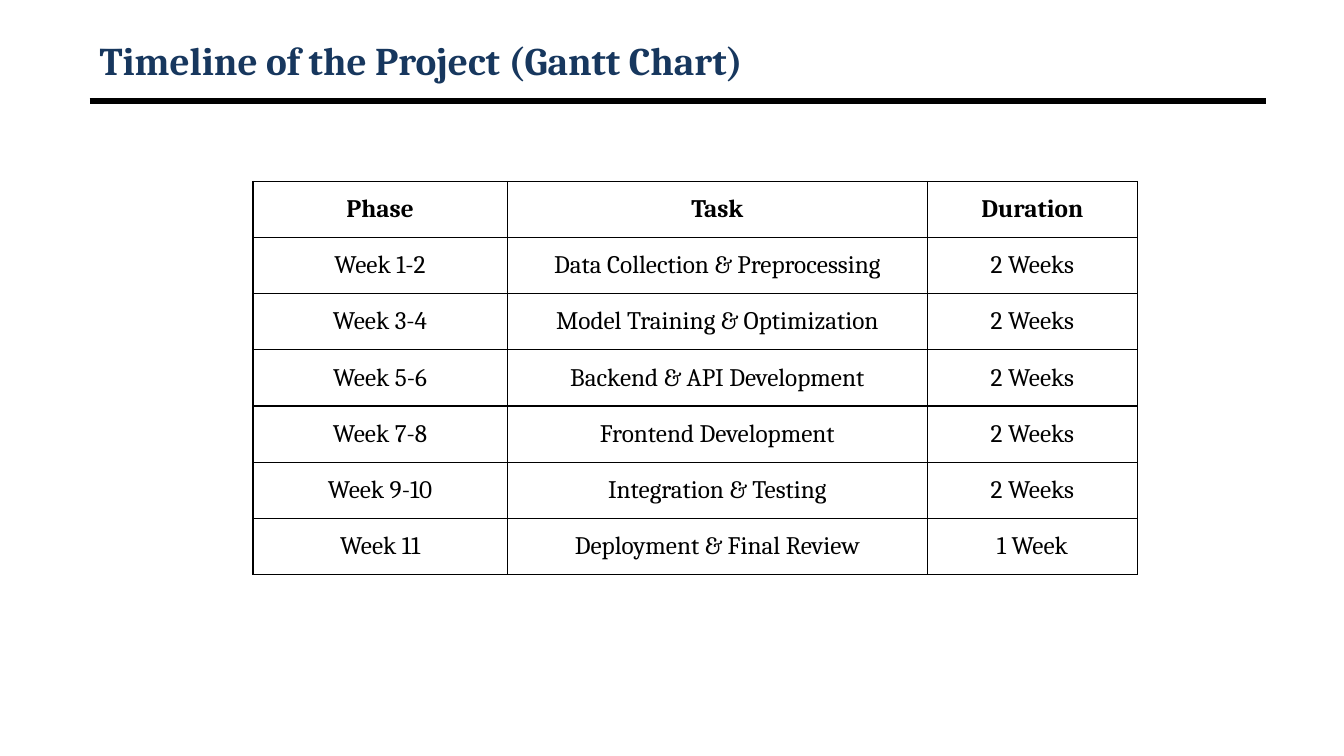
import pptx
import pptx.util
import pptx.dml.color
import pptx.enum.shapes
import pptx.enum.text
import pptx.oxml
import pptx.oxml.ns
from dataclasses import dataclass

Inches, Pt = pptx.util.Inches, pptx.util.Pt
RGB = pptx.dml.color.RGBColor.from_string
MIDDLE = pptx.enum.text.MSO_ANCHOR.MIDDLE
ALIGN = pptx.enum.text.PP_ALIGN


@dataclass
class Theme:
    face: str = "Cambria"
    navy: str = "17375E"
    black: str = "000000"
    head: int = 28
    body: int = 18
    rule: float = 4.5
    edge: int = 1


theme = Theme()


def write(frame, text, size, color, bold, align):
    para = frame.paragraphs[0]
    para.alignment = align
    run = para.add_run()
    run.text = text
    look = {"name": theme.face, "size": Pt(size), "bold": bold}
    for key, value in look.items():
        setattr(run.font, key, value)
    run.font.color.rgb = RGB(color)


def border(cell):
    """Draw all four sides of a table cell."""
    props = cell._tc.get_or_add_tcPr()
    for side in "LRTB":
        props.append(pptx.oxml.parse_xml(
            f'<a:ln{side} {pptx.oxml.ns.nsdecls("a")} w="{Pt(theme.edge)}">'
            f'<a:solidFill><a:srgbClr val="{theme.black}"/></a:solidFill>'
            f'</a:ln{side}>'))


deck = pptx.Presentation()
deck.slide_width, deck.slide_height = Inches(13.33), Inches(7.5)
slide = deck.slides.add_slide(deck.slide_layouts[6])
shapes = slide.shapes

# Heading and rule
left, width = 0.89, 11.67
rule = shapes.add_connector(
    pptx.enum.shapes.MSO_CONNECTOR.STRAIGHT,
    Inches(left), Inches(1), Inches(left + width), Inches(1))
rule.line.color.rgb = RGB(theme.black)
rule.line.width = Pt(theme.rule)
rule._element.spPr.append(
    pptx.oxml.parse_xml(f'<a:effectLst {pptx.oxml.ns.nsdecls("a")}/>'))

title = shapes.add_textbox(
    Inches(left), Inches(0.33), Inches(width), Inches(0.53)).text_frame
title.word_wrap = True
title.vertical_anchor = MIDDLE
write(title, "Timeline of the Project (Gantt Chart)",
      theme.head, theme.navy, True, ALIGN.LEFT)

# Schedule table
rows = [
    ("Phase", "Task", "Duration"),
    ("Week 1-2", "Data Collection & Preprocessing", "2 Weeks"),
    ("Week 3-4", "Model Training & Optimization", "2 Weeks"),
    ("Week 5-6", "Backend & API Development", "2 Weeks"),
    ("Week 7-8", "Frontend Development", "2 Weeks"),
    ("Week 9-10", "Integration & Testing", "2 Weeks"),
    ("Week 11", "Deployment & Final Review", "1 Week"),
]
widths = [2.52, 4.17, 2.08]
table = shapes.add_table(
    len(rows), len(widths), Inches(2.51), Inches(1.8),
    Inches(sum(widths)), Inches(3.9)).table
table.horz_banding = False
for column, size in zip(table.columns, widths):
    column.width = Inches(size)

for r, row in enumerate(rows):
    for c, text in enumerate(row):
        cell = table.cell(r, c)
        cell.vertical_anchor = MIDDLE
        border(cell)
        cell.fill.background()
        write(cell.text_frame, text, theme.body, theme.black,
              r == 0, ALIGN.CENTER)

deck.save("out.pptx")
